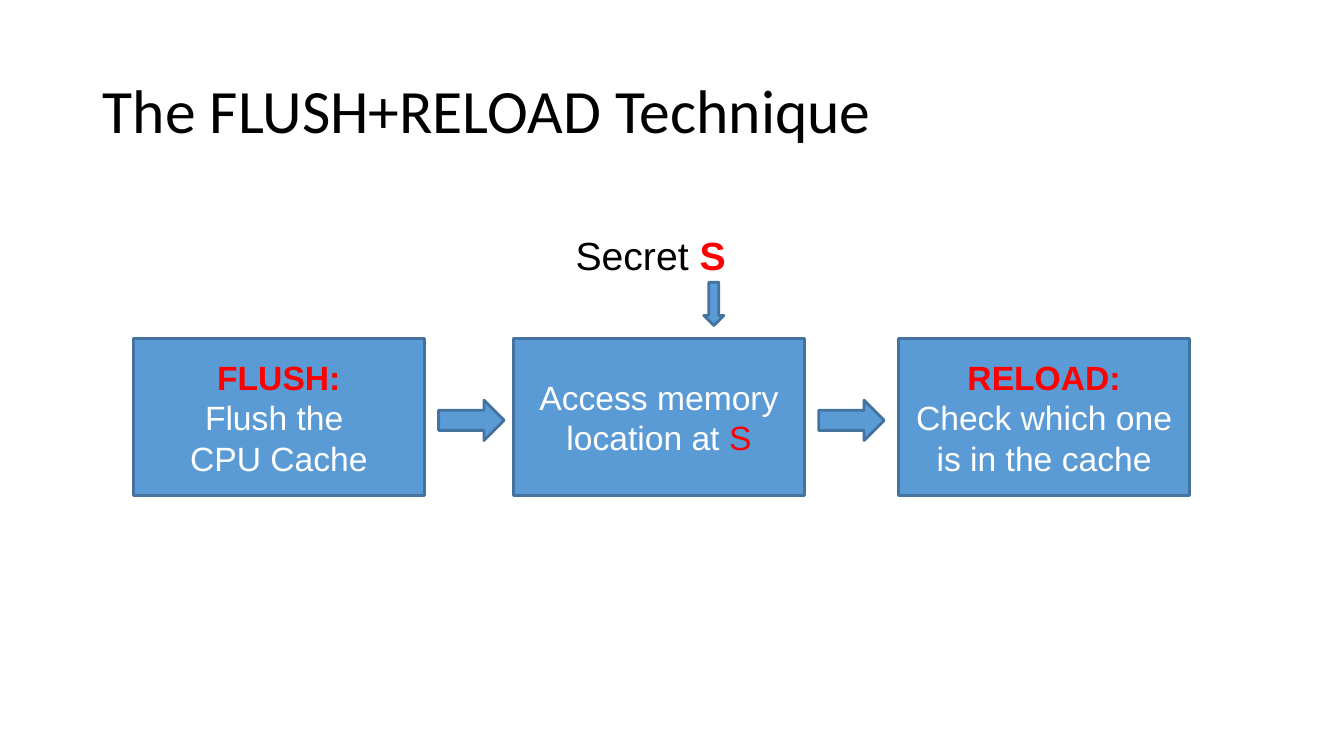
"""Build the FLUSH+RELOAD technique slide."""
from dataclasses import dataclass

from pptx import Presentation
from pptx import util as u
from pptx.dml.color import RGBColor
from pptx.enum import shapes, text

BLACK = RGBColor(0x00, 0x00, 0x00)
WHITE = RGBColor(0xFF, 0xFF, 0xFF)
RED = RGBColor(0xFF, 0x00, 0x00)
BLUE = RGBColor(0x5B, 0x9B, 0xD5)
EDGE = RGBColor(0x43, 0x73, 0x9E)

Kind = shapes.MSO_SHAPE
BOX_TOP, BOX_WIDTH, BOX_HEIGHT = 3.36, 2.89, 1.56
ARROW_TOP, ARROW_WIDTH, ARROW_HEIGHT = 3.97, 0.65, 0.4


@dataclass(frozen=True)
class Span:
    words: str
    color: RGBColor
    bold: bool = False


@dataclass(frozen=True)
class Block:
    kind: Kind
    left: float
    top: float
    width: float
    height: float
    lines: tuple[tuple[Span, ...], ...] = ()


def step(left: float, *lines: tuple[Span, ...]) -> Block:
    return Block(Kind.RECTANGLE, left, BOX_TOP, BOX_WIDTH, BOX_HEIGHT, lines)


def arrow(left: float) -> Block:
    return Block(Kind.RIGHT_ARROW, left, ARROW_TOP, ARROW_WIDTH, ARROW_HEIGHT)


BLOCKS = (
    step(1.32, (Span("FLUSH:", RED, True),), (Span("Flush the ", WHITE),),
         (Span("CPU Cache", WHITE),)),
    step(5.09, (Span("Access memory location at ", WHITE), Span("S", RED))),
    step(8.91, (Span("RELOAD:", RED, True),),
         (Span("Check which one is in the cache", WHITE),)),
    Block(Kind.DOWN_ARROW, 6.98, 2.8, 0.2, 0.43),
    arrow(4.35),
    arrow(8.12),
)


def write(frame, lines, size: float, align, font_name: str = "Arial") -> None:
    for index, spans in enumerate(lines):
        para = frame.add_paragraph() if index else frame.paragraphs[0]
        para.alignment = align
        for span in spans:
            run = para.add_run()
            run.text = span.words
            formats = {"name": font_name, "size": u.Pt(size), "bold": span.bold}
            for name, value in formats.items():
                setattr(run.font, name, value)
            run.font.color.rgb = span.color


def draw_block(page, block: Block) -> None:
    place = map(u.Inches, (block.left, block.top, block.width, block.height))
    box = page.shapes.add_shape(block.kind, *place)
    box.shadow.inherit = False
    box.fill.solid()
    box.fill.fore_color.rgb = BLUE
    box.line.color.rgb = EDGE
    box.line.width = u.Pt(2)
    box.text_frame.vertical_anchor = text.MSO_ANCHOR.MIDDLE
    write(box.text_frame, block.lines, 24, text.PP_ALIGN.CENTER)


def draw_title(page) -> None:
    title = page.shapes.title
    place = {"left": 0.92, "top": 0.4, "width": 11.5, "height": 1.45}
    for name, value in place.items():
        setattr(title, name, u.Inches(value))
    frame = title.text_frame
    frame.vertical_anchor = text.MSO_ANCHOR.MIDDLE
    write(frame, ((Span("The FLUSH+RELOAD Technique", BLACK),),), 44,
          text.PP_ALIGN.LEFT, "Calibri")
    frame.paragraphs[0].line_spacing = 0.9


def draw_secret(page) -> None:
    label = page.shapes.add_textbox(*map(u.Inches, (5.61, 2.25, 1.71, 0.57)))
    frame = label.text_frame
    formats = {"word_wrap": False, "auto_size": text.MSO_AUTO_SIZE.SHAPE_TO_FIT_TEXT}
    for name, value in formats.items():
        setattr(frame, name, value)
    write(frame, ((Span("Secret", BLACK), Span(" S", RED, True)),), 28,
          text.PP_ALIGN.LEFT)


def main() -> None:
    deck = Presentation()
    deck.slide_width = u.Inches(13.33)
    deck.slide_height = u.Inches(7.5)
    page = deck.slides.add_slide(deck.slide_layouts.get_by_name("Title Only"))
    draw_title(page)
    draw_secret(page)
    for block in BLOCKS:
        draw_block(page, block)
    deck.save("out.pptx")


if __name__ == "__main__":
    main()
